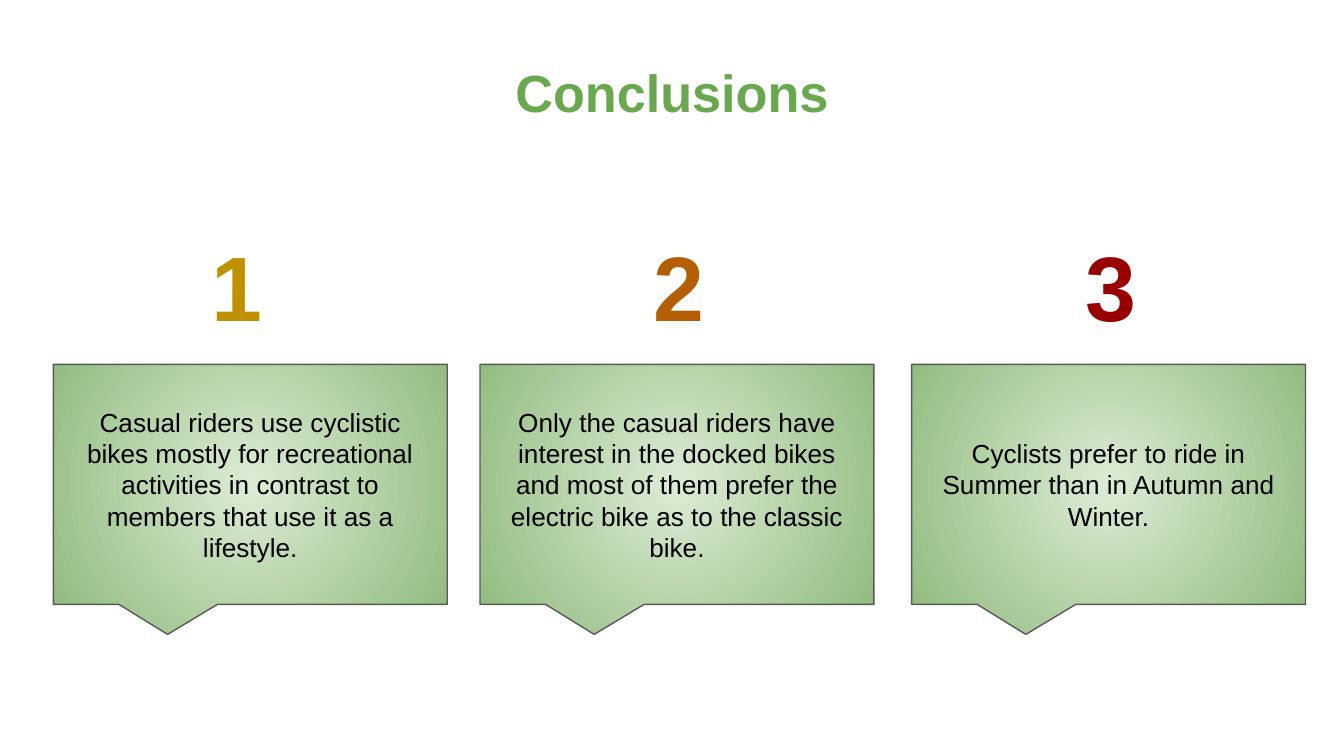
from lxml import etree
from pptx import Presentation
from pptx import util as u
from pptx.dml.color import RGBColor
from pptx.enum import shapes, text
from pptx.oxml.ns import qn

FONT = "Arial"
INSET = 7.2
NUMBER_TOP, NUMBER_WIDTH, NUMBER_HEIGHT = 116, 39, 74
CALLOUT_TOP, CALLOUT_WIDTH, CALLOUT_HEIGHT = 195.2, 211, 128.6

# Number, its colour, number left, callout left, callout wording
CONCLUSIONS = [
    ("1", "BF9000", 106, 28.6,
     "Casual riders use cyclistic bikes mostly for recreational activities "
     "in contrast to members that use it as a lifestyle."),
    ("2", "B45F06", 342.8, 257.2,
     "Only the casual riders have interest in the docked bikes and most of "
     "them prefer the electric bike as to the classic bike."),
    ("3", "990000", 574.5, 488.4,
     "Cyclists prefer to ride in Summer than in Autumn and Winter."),
]


def colour(value):
    return RGBColor.from_string(value)


def set_all(item, values):
    for name, value in values.items():
        setattr(item, name, value)


def place(left, top, width, height):
    return [u.Pt(value) for value in (left, top, width, height)]


def write(shape, words, size, fill, bold=False, align=text.PP_ALIGN.CENTER,
          anchor=text.MSO_ANCHOR.TOP):
    frame = shape.text_frame
    margins = {f"margin_{side}": u.Pt(INSET)
               for side in ("left", "top", "right", "bottom")}
    set_all(frame, {"word_wrap": True, "vertical_anchor": anchor,
                    "auto_size": text.MSO_AUTO_SIZE.NONE, **margins})
    para = frame.paragraphs[0]
    para.alignment = align
    span = para.add_run()
    span.text = words
    set_all(span.font, {"name": FONT, "size": u.Pt(size), "bold": bold})
    span.font.color.rgb = colour(fill)


def fill_radial(shape, inner, outer):
    shape.fill.gradient()
    for stop, value, position in zip(shape.fill.gradient_stops,
                                     (inner, outer), (0, 1)):
        stop.color.rgb = colour(value)
        stop.position = position
    # Swap the linear direction for a circle around the centre
    gradient = shape._element.spPr.find(qn("a:gradFill"))
    gradient.remove(gradient.find(qn("a:lin")))
    circle = etree.SubElement(gradient, qn("a:path"), {"path": "circle"})
    etree.SubElement(circle, qn("a:fillToRect"),
                     {side: "50000" for side in "ltrb"})


def add_title(page, words):
    title = page.shapes.title
    set_all(title, dict(zip(("left", "top", "width", "height"),
                            place(24.5, 25.2, 671, 62.6))))
    write(title, words, 28, "6AA84F", bold=True)


def add_number(page, left, words, fill):
    box = page.shapes.add_textbox(
        *place(left, NUMBER_TOP, NUMBER_WIDTH, NUMBER_HEIGHT))
    write(box, words, 49, fill, bold=True, align=text.PP_ALIGN.LEFT)


def add_callout(page, left, words):
    callout = page.shapes.add_shape(
        shapes.MSO_SHAPE.ROUNDED_RECTANGULAR_CALLOUT,
        *place(left, CALLOUT_TOP, CALLOUT_WIDTH, CALLOUT_HEIGHT))
    # Pointer tip across and down, then square corners
    for index, value in enumerate((-0.21, 0.625, 0)):
        callout.adjustments[index] = value
    callout.shadow.inherit = False
    fill_radial(callout, "DCECD5", "93BC81")
    callout.line.color.rgb = colour("595959")
    callout.line.width = u.Pt(0.75)
    write(callout, words, 14, "000000", anchor=text.MSO_ANCHOR.MIDDLE)


def main():
    deck = Presentation()
    set_all(deck, {"slide_width": u.Pt(720), "slide_height": u.Pt(405)})
    page = deck.slides.add_slide(deck.slide_layouts.get_by_name("Title Only"))

    add_title(page, "Conclusions")
    for number, fill, number_left, callout_left, words in CONCLUSIONS:
        add_callout(page, callout_left, words)
        add_number(page, number_left, number, fill)

    deck.save("out.pptx")


if __name__ == "__main__":
    main()
